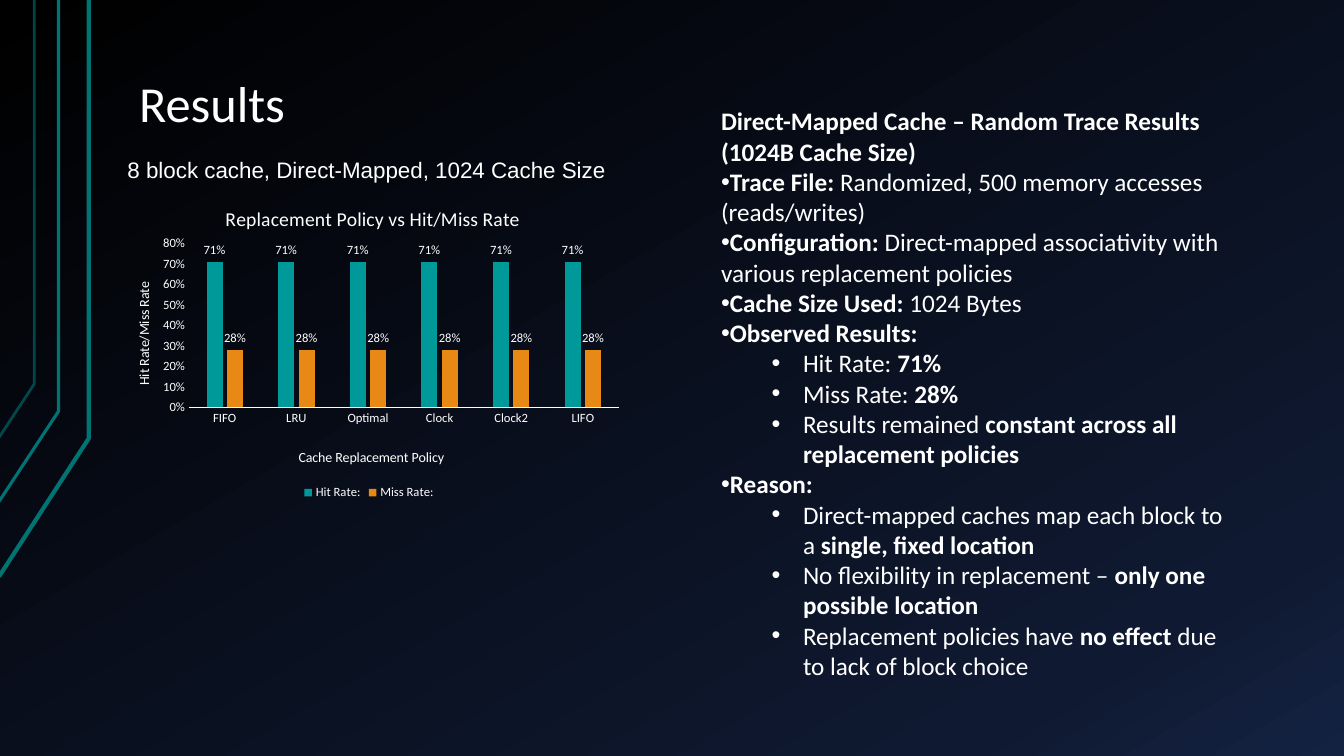
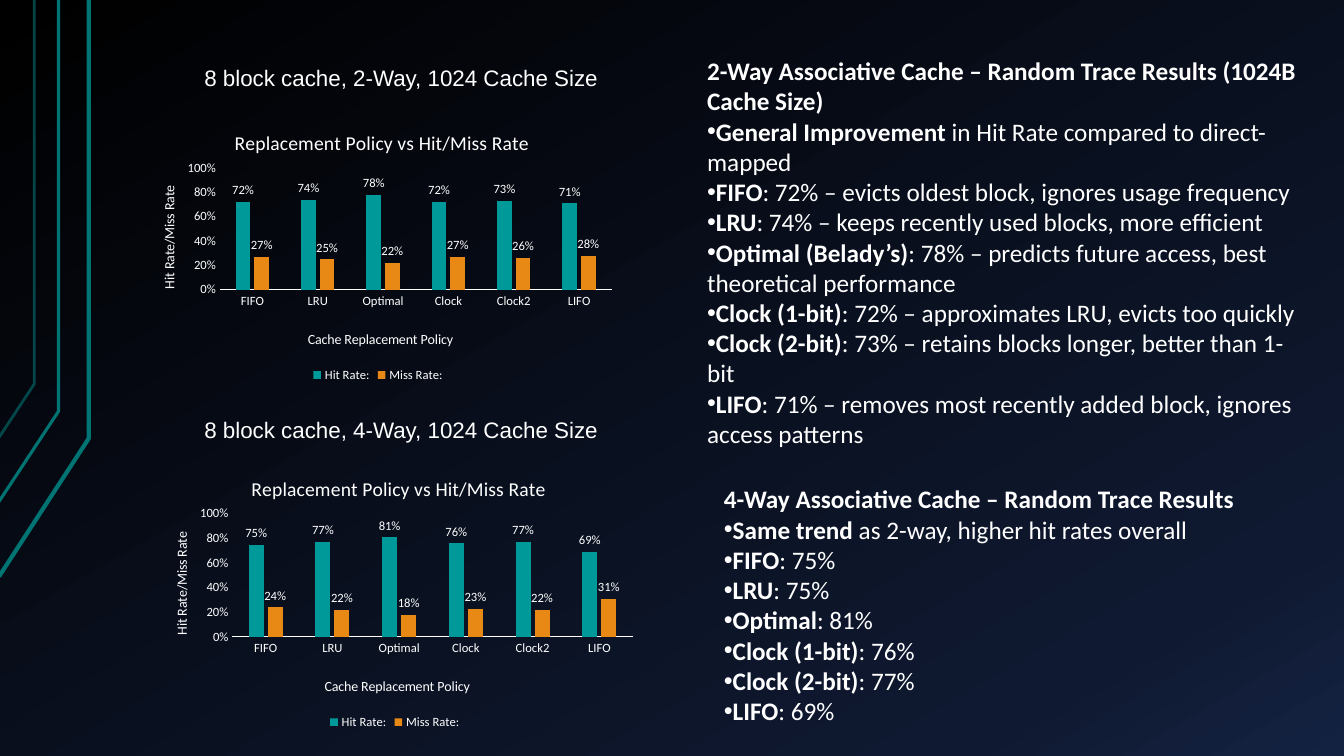
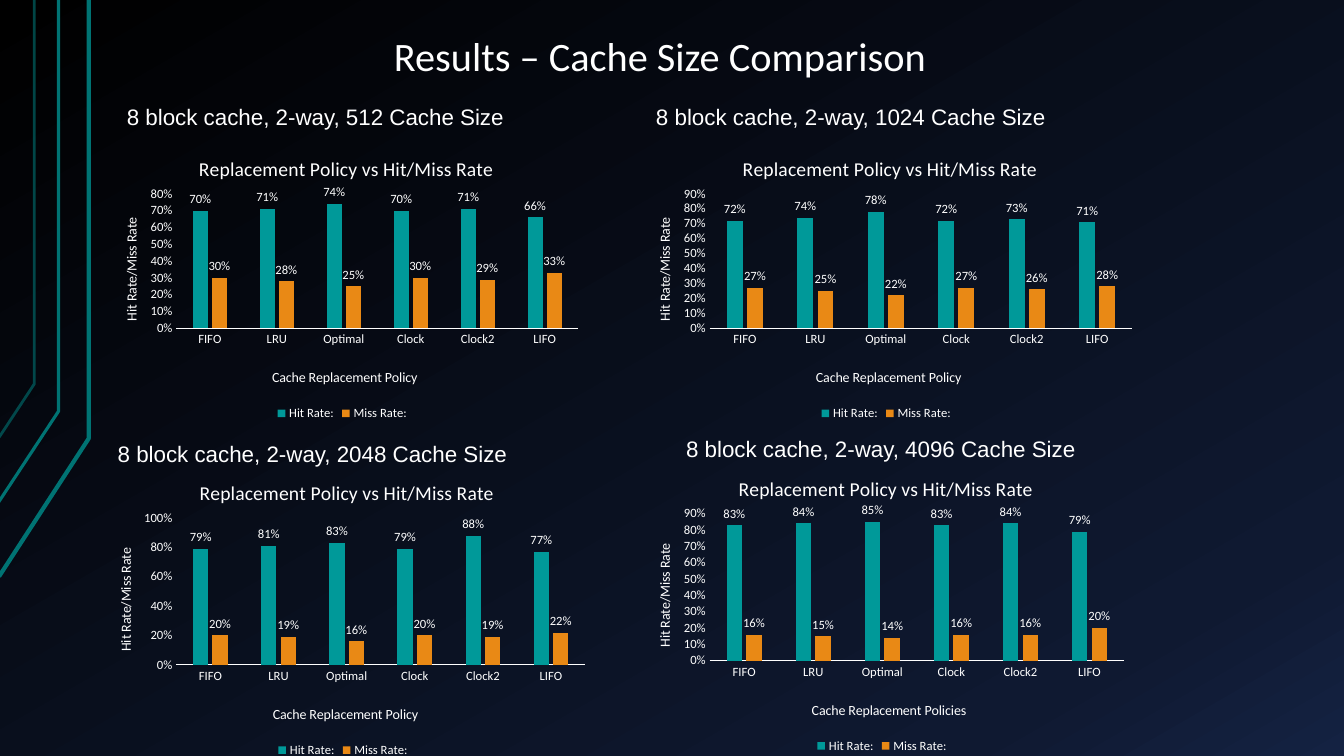
"""Build three slides of cache replacement results with charts and notes."""
from copy import deepcopy
from dataclasses import dataclass
from typing import Any

from lxml import etree
from pptx import Presentation
from pptx import util as u
from pptx.chart import data as cd
from pptx.dml import color as dc
from pptx.enum import chart as ce, text as te
from pptx.oxml import ns

Pt = u.Pt
HUES = {"black": "000000", "navy": "0F1931", "blue": "142242", "white": "FFFFFF",
        "line": "007373", "hit": "009999", "miss": "E98915"}
FONT = "Calibri"
CATS = ["FIFO", "LRU", "Optimal", "Clock", "Clock2", "LIFO"]


@dataclass
class Box:
    left: float
    top: float
    wide: float
    high: float

    def emu(self) -> list[int]:
        """Return the four lengths."""
        return [Pt(n) for n in (self.left, self.top, self.wide, self.high)]


@dataclass
class Band:
    points: list[tuple[float, float]]
    weight: float
    alpha: int = 100


@dataclass
class Label:
    text: str
    box: Box
    size: float = 16
    font: str = "Arial"
    mid: bool = False
    head: bool = False


@dataclass
class Notes:
    box: Box
    lines: list[str]


@dataclass
class Plot:
    box: Box
    hits: list[int]
    misses: list[int]
    peak: float
    foot: str = "Cache Replacement Policy"


@dataclass
class Page:
    labels: list[Label]
    plots: list[Plot]
    notes: list[Notes]


BANDS = [
    Band([(-0.7, 411.8), (63.4, 313.2), (63.4, 0)], 3),
    Band([(-1.4, 359.3), (41.8, 293.8), (41.8, 0)], 2.25),
    Band([(-0.7, 312.5), (24.5, 274.3), (24.5, 0)], 2, 60),
]


def cap(text: str, left: float, top: float, mid: bool = False) -> Label:
    """Make the caption above a chart."""
    return Label(text, Box(left, top, 407.5, 26.5), mid=mid)


TWO_WAY = ([72, 74, 78, 72, 73, 71], [27, 25, 22, 27, 26, 28])

PAGES = [
    Page(
        [Label("Results", Box(90, 36, 804, 64), 36, FONT, head=True),
         cap("8 block cache, Direct-Mapped, 1024 Cache Size", 84, 108)],
        [Plot(Box(78, 132, 371, 228), [71] * 6, [28] * 6, 0.8)],
        [Notes(Box(508, 72, 384, 422), [
            "*Direct-Mapped Cache – Random Trace Results (1024B Cache Size)",
            "*Trace File:* Randomized, 500 memory accesses (reads/writes)",
            "*Configuration:* Direct-mapped associativity with various replacement policies",
            "*Cache Size Used:* 1024 Bytes",
            "*Observed Results:",
            ">Hit Rate: *71%",
            ">Miss Rate: *28%",
            ">Results remained *constant across all replacement policies",
            "*Reason:",
            ">Direct-mapped caches map each block to a *single, fixed location",
            ">No flexibility in replacement – *only one possible location",
            ">Replacement policies have *no effect* due to lack of block choice"])]),
    Page(
        [cap("8 block cache, 2-Way, 1024 Cache Size ", 85, 42, True),
         cap("8 block cache, 4-Way, 1024 Cache Size ", 85, 294, True)],
        [Plot(Box(96, 78, 348, 198), *TWO_WAY, 1),
         Plot(Box(105, 325, 354, 199), [75, 77, 81, 76, 77, 69],
              [24, 22, 18, 23, 22, 31], 1)],
        [Notes(Box(498, 36, 444, 312), [
            "*2-Way Associative Cache – Random Trace Results (1024B Cache Size)",
            "*General Improvement* in Hit Rate compared to direct-mapped",
            "*FIFO*: 72% – evicts oldest block, ignores usage frequency",
            "*LRU*: 74% – keeps recently used blocks, more efficient",
            "*Optimal (Belady’s)*: 78% – predicts future access, best theoretical performance",
            "*Clock (1-bit)*: 72% – approximates LRU, evicts too quickly",
            "*Clock (2-bit)*: 73% – retains blocks longer, better than 1-bit",
            "*LIFO*: 71% – removes most recently added block, ignores access patterns"]),
         Notes(Box(510, 342, 408, 181), [
             "*4-Way Associative Cache – Random Trace Results",
             "*Same trend* as 2-way, higher hit rates overall",
             "*FIFO*: 75%",
             "*LRU*: 75%",
             "*Optimal*: 81%",
             "*Clock (1-bit)*: 76%",
             "*Clock (2-bit)*: 77%",
             "*LIFO*: 69%"])]),
    Page(
        [Label("Results – Cache Size Comparison", Box(272, 21.6, 419, 41), 28.8, FONT, head=True),
         cap("8 block cache, 2-way, 512 Cache Size", 83.5, 70),
         cap("8 block cache, 2-way, 1024 Cache Size", 461.5, 70),
         cap("8 block cache, 2-way, 2048 Cache Size", 77, 310.5),
         cap("8 block cache, 2-way, 4096 Cache Size", 483, 307)],
        [Plot(Box(69, 96.5, 351, 207), [70, 71, 74, 70, 71, 66],
              [30, 28, 25, 30, 29, 33], 0.8),
         Plot(Box(450, 96.5, 366, 207), *TWO_WAY, 0.9),
         Plot(Box(65, 328, 360, 216), [79, 81, 83, 79, 88, 77],
              [20, 19, 16, 20, 19, 22], 1),
         Plot(Box(450, 325, 360, 216), [83, 84, 85, 83, 84, 79],
              [16, 15, 14, 16, 16, 20], 0.9, "Cache Replacement Policies")],
        []),
]


def hue(name: str) -> dc.RGBColor:
    """Look up a colour."""
    return dc.RGBColor.from_string(HUES[name])


def style(font: Any, size: float, face: str = FONT, bold: bool = False) -> None:
    """Set a white font."""
    font.size, font.name, font.bold = Pt(size), face, bold
    font.color.rgb = hue("white")


def child(root: Any, tag: str, **attrs: str) -> Any:
    """Append an XML element."""
    return etree.SubElement(root, ns.qn(tag), attrs)


def paint(master: Any) -> None:
    """Give every slide the dark gradient."""
    fill = master.background.fill
    fill.gradient()
    fill.gradient_angle = 300
    stops = master.element.find(".//" + ns.qn("a:gsLst"))
    stops.append(deepcopy(stops[-1]))
    for stop, name, place in zip(fill.gradient_stops, ("black", "navy", "blue"), (0, 0.85, 1)):
        stop.color.rgb = hue(name)
        stop.position = place


def draw_band(slide: Any, band: Band) -> None:
    """Draw one bent line at the left edge."""
    first, *rest = [(Pt(x), Pt(y)) for x, y in band.points]
    pen = slide.shapes.build_freeform(*first)
    pen.add_line_segments(rest, close=False)
    shape = pen.convert_to_shape()
    shape.shadow.inherit = False
    shape.fill.background()
    shape.line.color.rgb = hue("line")
    shape.line.width = Pt(band.weight)
    if band.alpha < 100:
        tint = shape.line.fill.fore_color
        tint.rgb = hue("line")
        mark = shape.element.find(".//" + ns.qn("a:ln")).find(".//" + ns.qn("a:srgbClr"))
        child(mark, "a:alpha", val=str(band.alpha * 1000))


def add_box(slide: Any, box: Box) -> Any:
    """Add a wrapped text box and return its frame."""
    frame = slide.shapes.add_textbox(*box.emu()).text_frame
    frame.word_wrap = True
    return frame


def draw_label(slide: Any, label: Label) -> None:
    """Write a title or caption."""
    frame = add_box(slide, label.box)
    frame.text = label.text
    para = frame.paragraphs[0]
    style(para.runs[0].font, label.size, label.font)
    if label.mid:
        para.alignment = te.PP_ALIGN.CENTER
    if label.head:
        frame.vertical_anchor = te.MSO_ANCHOR.BOTTOM
        frame.margin_left = frame.margin_right = Pt(9.4)
        frame.margin_top = frame.margin_bottom = Pt(5)
        para.line_spacing = 0.9


def draw_notes(slide: Any, notes: Notes) -> None:
    """Write a heading and its bullets, with bold text between stars."""
    frame = add_box(slide, notes.box)
    for i, line in enumerate(notes.lines):
        para = frame.add_paragraph() if i else frame.paragraphs[0]
        sub = line.startswith(">")
        for j, part in enumerate(line.removeprefix(">").split("*")):
            if part:
                run = para.add_run()
                run.text = part
                style(run.font, 18, bold=j % 2 == 1)
        if i:
            para.level = int(sub)
            props = para._p.get_or_add_pPr()
            props.set("marL", str(Pt(58.5 if sub else 0)))
            props.set("indent", str(Pt(-22.5 if sub else 0)))
            child(props, "a:buFont", typeface="Arial")
            child(props, "a:buChar", char="•")


def place(root: Any, box: Box, **spots: float) -> None:
    """Fix a chart part at spots given in points within the chart."""
    frame = root.find(ns.qn("c:layout"))
    if frame is None:
        frame = etree.Element(ns.qn("c:layout"))
        root.insert(0, frame)
    hand = child(frame, "c:manualLayout")
    if "w" in spots:
        child(hand, "c:layoutTarget", val="inner")
    for key in ("x", "y"):
        child(hand, f"c:{key}Mode", val="edge")
    for key, spot in spots.items():
        child(hand, f"c:{key}", val=f"{spot / (box.wide if key in 'xw' else box.high):.4f}")


def name_part(title: Any, text: str, size: float, box: Box, x: float, y: float) -> None:
    """Write and place a chart or axis title."""
    title.text_frame.text = text
    style(title.text_frame.paragraphs[0].runs[0].font, size)
    place(title.element, box, x=x, y=y)


def draw_plot(slide: Any, plot: Plot) -> None:
    """Draw a chart of hit and miss rates."""
    box = plot.box
    data = cd.CategoryChartData(number_format="0%")
    data.categories = CATS
    data.add_series("Hit Rate:", [n / 100 for n in plot.hits])
    data.add_series("Miss Rate:", [n / 100 for n in plot.misses])
    chart = slide.shapes.add_chart(ce.XL_CHART_TYPE.COLUMN_CLUSTERED, *box.emu(), data).chart
    style(chart.font, 10)
    full = plot.peak == 1
    left, top = 61 if full else 57, 42
    tall = box.high - top - 69
    place(chart.element.find(".//" + ns.qn("c:plotArea")), box,
          x=left, y=top, w=box.wide - left - 7, h=tall)

    name_part(chart.chart_title, "Replacement Policy vs Hit/Miss Rate", 14, box,
              (box.wide - 210) / 2, 12)
    cats, vals = chart.category_axis, chart.value_axis
    name_part(cats.axis_title, plot.foot, 10, box, (box.wide - 104) / 2, box.high - 42)
    name_part(vals.axis_title, "Hit Rate/Miss Rate", 10, box, 16.5, top + tall / 2 - 33)
    body = vals.axis_title.element.find(".//" + ns.qn("a:bodyPr"))
    body.set("rot", "-5400000")
    body.set("vert", "horz")
    for axis in (cats, vals):
        axis.has_major_gridlines = False
        axis.major_tick_mark = axis.minor_tick_mark = ce.XL_TICK_MARK.NONE
        style(axis.tick_labels.font, 9)
    cats.format.line.color.rgb = hue("white")
    cats.format.line.width = Pt(0.75)
    vals.format.line.fill.background()
    vals.minimum_scale, vals.maximum_scale = 0, plot.peak
    vals.major_unit = 0.2 if full else 0.1
    vals.tick_labels.number_format = "0%"
    vals.tick_labels.number_format_is_linked = False

    chart.has_legend = True
    chart.legend.position = ce.XL_LEGEND_POSITION.BOTTOM
    chart.legend.include_in_layout = False
    style(chart.legend.font, 9)
    bars = chart.plots[0]
    bars.gap_width, bars.overlap, bars.vary_by_categories = 219, -27, False
    for row, name in zip(bars.series, ("hit", "miss")):
        row.format.fill.solid()
        row.format.fill.fore_color.rgb = hue(name)
        tags = row.data_labels
        tags.show_value = True
        tags.position = ce.XL_LABEL_POSITION.OUTSIDE_END
        tags.number_format, tags.number_format_is_linked = "0%", False
        style(tags.font, 9)


def main() -> None:
    """Build and save the slides."""
    deck = Presentation()
    deck.slide_width, deck.slide_height = Pt(960), Pt(540)
    paint(deck.slide_master)
    for page in PAGES:
        slide = deck.slides.add_slide(deck.slide_layouts[6])
        for draw, items in ((draw_band, BANDS), (draw_label, page.labels),
                            (draw_plot, page.plots), (draw_notes, page.notes)):
            for item in items:
                draw(slide, item)
    deck.save("out.pptx")


if __name__ == "__main__":
    main()
